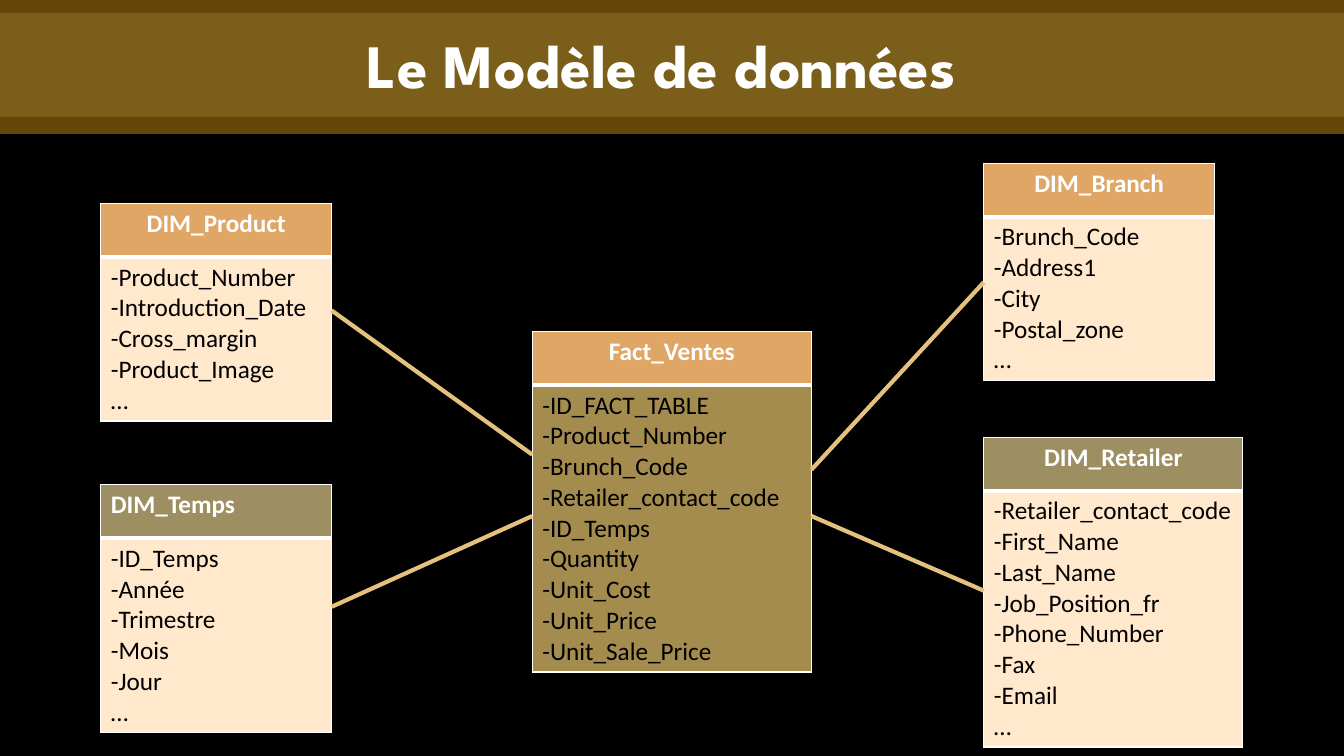
from lxml import etree
from pptx import Presentation
from pptx import util as u
from pptx.dml.color import RGBColor
from pptx.enum import shapes, text
from pptx.oxml.ns import qn

COLORS = {
    "background": "000000", "outer_band": "FAB117", "inner_band": "9F8232",
    "white": "FFFFFF", "black": "000000", "link": "E4C27E",
    "orange": "DFA666", "olive": "9E8F63", "cream": "FFE8CC", "khaki": "A48C4E",
}
WIDTH, HEIGHT = u.Inches(13.33), u.Inches(7.5)
COLUMNS, ROWS = 40, 30
HEADER_ROWS, LINE_ROWS, PADDING_ROWS = 2.12, 1.2, 0.4

# Name: (left, top, width in grid units, header fill, body fill, centred header, fields)
ENTITIES = {
    "DIM_Product": (3, 8.08, 6.87, "orange", "cream", True,
                    ["Product_Number", "Introduction_Date", "Cross_margin", "Product_Image", "…"]),
    "Fact_Ventes": (15.84, 13.16, 8.31, "orange", "khaki", True,
                    ["ID_FACT_TABLE", "Product_Number", "Brunch_Code", "Retailer_contact_code",
                     "ID_Temps", "Quantity", "Unit_Cost", "Unit_Price", "Unit_Sale_Price"]),
    "DIM_Temps": (3, 19.24, 6.87, "olive", "cream", False,
                  ["ID_Temps", "Année", "Trimestre", "Mois", "Jour", "…"]),
    "DIM_Branch": (29.28, 6.48, 6.87, "orange", "cream", True,
                   ["Brunch_Code", "Address1", "City", "Postal_zone", "…"]),
    "DIM_Retailer": (29.28, 17.36, 7.71, "olive", "cream", True,
                     ["Retailer_contact_code", "First_Name", "Last_Name", "Job_Position_fr",
                      "Phone_Number", "Fax", "Email", "…"]),
}
# Dimension: (row where the link leaves it, row where it meets the fact table)
LINKS = {
    "DIM_Product": (12.32, 18.04),
    "DIM_Temps": (24.08, 20.48),
    "DIM_Branch": (11.2, 18.64),
    "DIM_Retailer": (23.44, 20.48),
}


def color(name):
    return RGBColor.from_string(COLORS[name])


def across(columns):
    return round(WIDTH * columns / COLUMNS)


def down(rows):
    return round(HEIGHT * rows / ROWS)


def format_text(para, font, size, ink, bold, align):
    para.alignment = align
    for span in para.runs:
        span.font.name, span.font.size, span.font.bold = font, u.Pt(size), bold
        span.font.color.rgb = color(ink)


def add_banner(page):
    # Two translucent bands
    for name, top, height in (("outer_band", 0, 5.32), ("inner_band", 0.52, 4.12)):
        band = page.shapes.add_shape(shapes.MSO_SHAPE.RECTANGLE, 0, down(top), WIDTH, down(height))
        band.shadow.inherit = False
        band.line.fill.background()
        band.fill.solid()
        band.fill.fore_color.rgb = color(name)
        tint = band.fill._xPr.find(".//" + qn("a:srgbClr"))
        etree.SubElement(tint, qn("a:alpha"), val="40000")

    # Title, raised above the bands
    title = page.shapes.title
    title.left, title.top, title.width, title.height = 0, down(0.84), across(39.4), down(3.36)
    frame = title.text_frame
    frame.text = "Le Modèle de données"
    frame.auto_size = text.MSO_AUTO_SIZE.NONE
    frame.vertical_anchor = text.MSO_ANCHOR.MIDDLE
    format_text(frame.paragraphs[0], "League Spartan", 44, "white", True, text.PP_ALIGN.CENTER)
    title.element.getparent().append(title.element)


def format_cell(cell, fill, top, bottom):
    properties = cell._tc.get_or_add_tcPr()
    for side, points in (("L", 1), ("R", 1), ("T", top), ("B", bottom)):
        border = etree.SubElement(properties, qn("a:ln" + side), w=str(u.Pt(points)))
        paint = etree.SubElement(border, qn("a:solidFill"))
        etree.SubElement(paint, qn("a:srgbClr"), val=COLORS["white"])
    cell.fill.solid()
    cell.fill.fore_color.rgb = color(fill)


def add_entity(page, name, left, top, width, header_fill, body_fill, centred, fields):
    body_rows = PADDING_ROWS + LINE_ROWS * len(fields)
    table = page.shapes.add_table(2, 1, across(left), down(top), across(width),
                                  down(HEADER_ROWS + body_rows)).table
    table.rows[0].height, table.rows[1].height = down(HEADER_ROWS), down(body_rows)
    header, body = table.cell(0, 0), table.cell(1, 0)
    format_cell(header, header_fill, 1, 3)
    format_cell(body, body_fill, 3, 1)

    header.text_frame.text = name
    align = text.PP_ALIGN.CENTER if centred else text.PP_ALIGN.LEFT
    format_text(header.text_frame.paragraphs[0], "Calibri", 18, "white", True, align)
    body.text_frame.text = "\n".join(f if f == "…" else "-" + f for f in fields)
    for para in body.text_frame.paragraphs:
        format_text(para, "Calibri", 18, "black", False, text.PP_ALIGN.LEFT)


def add_link(page, name, start_row, end_row):
    left, _, width = ENTITIES[name][:3]
    fact_left, _, fact_width = ENTITIES["Fact_Ventes"][:3]
    if left < fact_left:
        start, end = left + width, fact_left
    else:
        start, end = left, fact_left + fact_width
    link = page.shapes.add_connector(shapes.MSO_CONNECTOR.STRAIGHT, across(start),
                                     down(start_row), across(end), down(end_row))
    link.line.color.rgb = color("link")
    link.line.width = u.Pt(3)
    etree.SubElement(link.element.spPr, qn("a:effectLst"))


def main():
    deck = Presentation()
    deck.slide_width, deck.slide_height = WIDTH, HEIGHT
    page = deck.slides.add_slide(deck.slide_layouts.get_by_name("Title Only"))
    page.background.fill.solid()
    page.background.fill.fore_color.rgb = color("background")

    add_banner(page)
    for name, entity in ENTITIES.items():
        add_entity(page, name, *entity)
    for name, rows in LINKS.items():
        add_link(page, name, *rows)
    deck.save("out.pptx")


if __name__ == "__main__":
    main()
